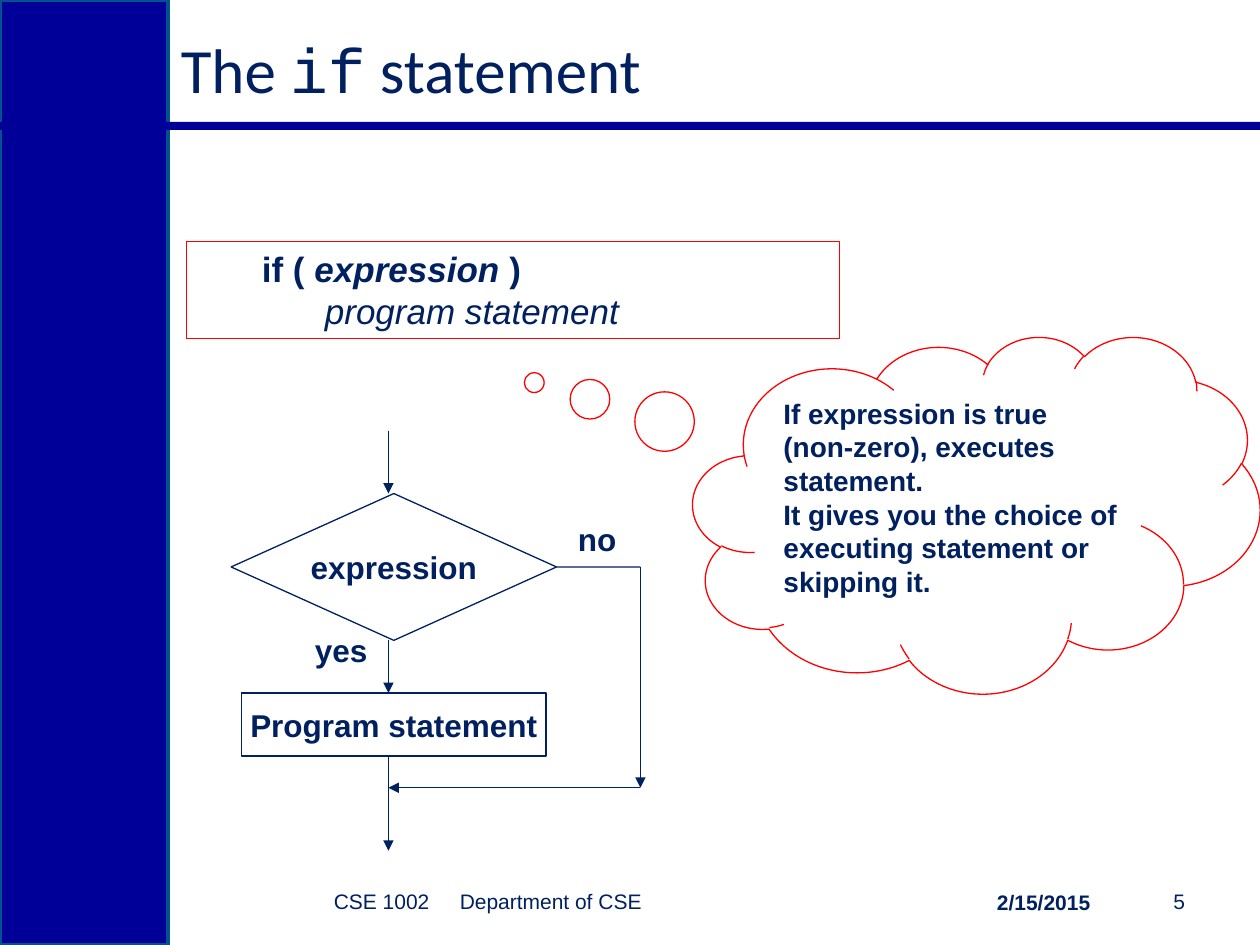
from lxml import etree
from pptx import Presentation
from pptx.dml.color import RGBColor
from pptx.enum.shapes import MSO_CONNECTOR, MSO_SHAPE
from pptx.enum.text import MSO_ANCHOR, MSO_AUTO_SIZE, PP_ALIGN
from pptx.oxml.ns import qn
from pptx.util import Cm, Pt

NAVY = RGBColor(0x00, 0x20, 0x60)
BLUE = RGBColor(0x00, 0x00, 0x99)
TEAL = RGBColor(0x00, 0x53, 0x8E)
RED = RGBColor(0xFF, 0x00, 0x00)
RECTANGLE = MSO_SHAPE.RECTANGLE
CLOUD = MSO_SHAPE.CLOUD_CALLOUT
PROCESS = MSO_SHAPE.FLOWCHART_PROCESS
DECISION = MSO_SHAPE.FLOWCHART_DECISION
STRAIGHT = MSO_CONNECTOR.STRAIGHT
TOP, MIDDLE = MSO_ANCHOR.TOP, MSO_ANCHOR.MIDDLE
LEFT, CENTER, RIGHT = PP_ALIGN.LEFT, PP_ALIGN.CENTER, PP_ALIGN.RIGHT
NO_AUTOFIT = MSO_AUTO_SIZE.NONE


def add_shape(kind, place, fill=None, line=None, width=0.75):
    shape = slide.shapes.add_shape(kind, *[Cm(value) for value in place])
    shape.shadow.inherit = False
    for paint, color in ((shape.fill, fill), (shape.line.fill, line)):
        if color is None:
            paint.background()
        else:
            paint.solid()
            paint.fore_color.rgb = color
    if line is not None:
        shape.line.width = Pt(width)
    return shape


def add_run(para, text, size, bold=False, italic=False, name="Arial"):
    run = para.add_run()
    run.text = text
    run.font.name = name
    run.font.size = Pt(size)
    run.font.bold = bold
    run.font.italic = italic
    run.font.color.rgb = NAVY


deck = Presentation()
deck.slide_width, deck.slide_height = Cm(25.4), Cm(19.05)
slide = deck.slides.add_slide(deck.slide_layouts[5])

# Side panel and rule
add_shape(RECTANGLE, (0, 0, 3.39, 19.05), BLUE, TEAL, 2)
add_shape(RECTANGLE, (0, 2.46, 25.4, 0.16), BLUE)

# Title
title = slide.shapes.title
title.left, title.top, title.width, title.height = Cm(3.39), Cm(0.43), Cm(19.89), Cm(1.91)
title.text_frame.auto_size = NO_AUTOFIT
title.text_frame.vertical_anchor = MIDDLE
para = title.text_frame.paragraphs[0]
para.alignment = LEFT
for text, name in (("The ", "Calibri"), ("if", "Courier New"), (" statement", "Calibri")):
    add_run(para, text, 36, name=name)

# Syntax box
syntax = add_shape(RECTANGLE, (3.76, 4.87, 13.16, 1.96), line=RED)
syntax.text_frame.vertical_anchor = TOP
condition = syntax.text_frame.paragraphs[0]
condition.alignment = LEFT
add_run(condition, "\tif ( ", 20, bold=True)
add_run(condition, "expression ", 20, bold=True, italic=True)
add_run(condition, ")", 20, bold=True)
body = syntax.text_frame.add_paragraph()
body.alignment = LEFT
add_run(body, "\t\tprogram statement", 20, italic=True)

# Explanation cloud
cloud = add_shape(CLOUD, (13.97, 6.78, 11.43, 7.19), line=RED)
cloud.adjustments[0], cloud.adjustments[1] = -0.78, -0.37
frame = cloud.text_frame
frame.vertical_anchor = TOP
frame.margin_right = Cm(0.4)
for index, text in enumerate((
    "If expression is true (non-zero), executes statement.",
    "It gives you the choice of executing statement or skipping it.",
)):
    para = frame.add_paragraph() if index else frame.paragraphs[0]
    para.alignment = LEFT
    add_run(para, text, 16, bold=True)

# Flowchart nodes
nodes = {}
for kind, place, text in (
    (PROCESS, (4.87, 13.97, 6.14, 1.27), "Program statement"),
    (DECISION, (4.66, 9.95, 6.56, 2.96), "expression"),
):
    node = add_shape(kind, place, line=NAVY)
    node.text_frame.word_wrap = False
    node.text_frame.vertical_anchor = MIDDLE
    para = node.text_frame.paragraphs[0]
    para.alignment = CENTER
    add_run(para, text, 18, bold=True)
    nodes[text] = node

# Flowchart lines: start, end, arrowhead
main_x, bypass_x, branch_y, join_y = 7.83, 12.91, 11.43, 15.88
for x1, y1, x2, y2, arrow in (
    (main_x, 8.68, main_x, 9.95, True),
    (main_x, 12.91, main_x, 13.97, True),
    (11.22, branch_y, bypass_x, branch_y, False),
    (main_x, 15.24, main_x, 17.15, True),
    (bypass_x, branch_y, bypass_x, join_y, True),
    (bypass_x, join_y, main_x, join_y, True),
):
    line = slide.shapes.add_connector(STRAIGHT, Cm(x1), Cm(y1), Cm(x2), Cm(y2))
    line.line.color.rgb = NAVY
    line.line.width = Pt(0.75)
    if arrow:
        etree.SubElement(line.line._get_or_add_ln(), qn("a:tailEnd"), type="triangle")
    else:
        line.begin_connect(nodes["expression"], 3)
    etree.SubElement(line._element.spPr, qn("a:effectLst"))

# Branch labels and footer texts
for place, text, size, bold, align, anchor in (
    ((6.1, 12.6, 1.57, 1.02), "yes", 18, True, LEFT, TOP),
    ((11.4, 10.36, 1.3, 1.02), "no", 18, True, LEFT, TOP),
    ((22.23, 17.65, 1.91, 1.02), "5", 12, False, RIGHT, MIDDLE),
    ((17.78, 17.68, 4.45, 1.02), "2/15/2015", 12, True, RIGHT, MIDDLE),
    ((3.61, 17.65, 12.27, 1.02), "CSE 1002\tDepartment of CSE", 12, False, LEFT, MIDDLE),
):
    box = slide.shapes.add_textbox(*[Cm(value) for value in place])
    box.text_frame.word_wrap = size == 12
    box.text_frame.vertical_anchor = anchor
    para = box.text_frame.paragraphs[0]
    if "\t" in text:
        properties = para._p.get_or_add_pPr()
        properties.set("marL", str(Cm(2.87)))
        properties.set("indent", "0")
        tabs = etree.SubElement(properties, qn("a:tabLst"))
        etree.SubElement(tabs, qn("a:tab"), pos=str(Cm(8.08)), algn="l")
    para.alignment = align
    add_run(para, text, size, bold=bold)

deck.save("out.pptx")
